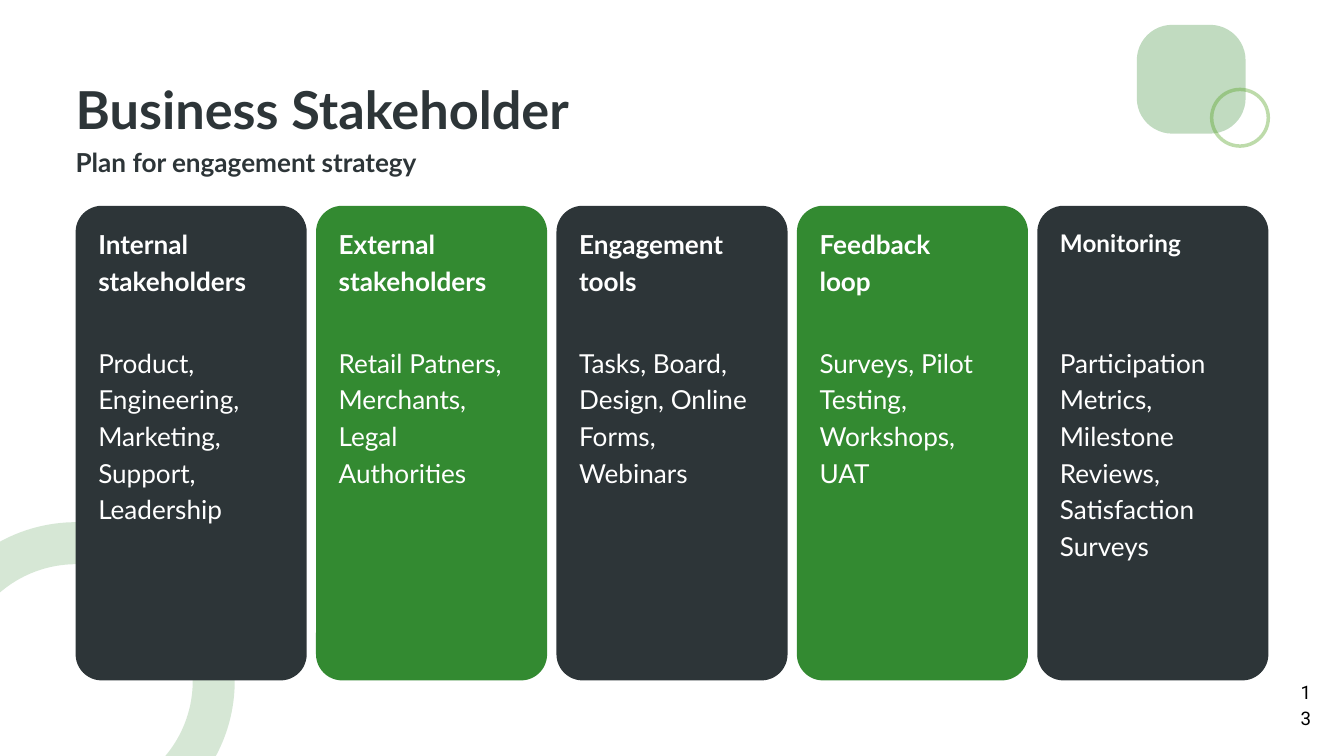
from dataclasses import dataclass

from lxml import etree
from pptx import Presentation
from pptx.dml.color import RGBColor
from pptx.enum.shapes import MSO_SHAPE
from pptx.enum.text import MSO_ANCHOR, MSO_AUTO_SIZE, PP_ALIGN
from pptx.oxml.ns import qn
from pptx.util import Pt

ROUNDED, OVAL = MSO_SHAPE.ROUNDED_RECTANGLE, MSO_SHAPE.OVAL
TOP, NO_FIT = MSO_ANCHOR.TOP, MSO_AUTO_SIZE.NONE
LEFT, CENTER = PP_ALIGN.LEFT, PP_ALIGN.CENTER


@dataclass(frozen=True)
class Theme:
    dark: str = "2D3538"
    green: str = "338A31"
    light_green: str = "5BA62C"
    white: str = "FFFFFF"
    black: str = "000000"
    font: str = "Lato"
    number_font: str = "Roboto"
    title_size: int = 56
    text_size: int = 28
    small_heading_size: int = 26
    number_size: int = 20
    line_factor: float = 1.4


THEME = Theme()

# Heading, heading size, body text; a line end starts a new paragraph
COLUMNS = [
    ("Internal stakeholders", THEME.text_size,
     "Product, Engineering, Marketing, Support, Leadership"),
    ("External stakeholders", THEME.text_size,
     "Retail Patners,\nMerchants,\nLegal Authorities"),
    ("Engagement tools", THEME.text_size,
     "Tasks, Board, Design, Online Forms, Webinars"),
    ("Feedback\nloop", THEME.text_size,
     "Surveys, Pilot Testing, Workshops, UAT"),
    ("Monitoring", THEME.small_heading_size,
     "Participation Metrics, Milestone Reviews, Satisfaction Surveys"),
]


def place(shape, box):
    shape.left, shape.top, shape.width, shape.height = (Pt(value) for value in box)


def write_text(shape, text, *, size=THEME.text_size, color=THEME.white,
               font=THEME.font, bold=False, align=LEFT):
    frame = shape.text_frame
    frame.auto_size = NO_FIT
    frame.word_wrap = True
    frame.vertical_anchor = TOP
    frame.margin_left = frame.margin_right = frame.margin_top = frame.margin_bottom = 0
    frame.text = text
    for paragraph in frame.paragraphs:
        properties = paragraph._p.get_or_add_pPr()
        properties.set("marL", "0")
        properties.set("indent", "0")
        etree.SubElement(properties, qn("a:buNone"))
        paragraph.alignment = align
        paragraph.line_spacing = Pt(round(size * THEME.line_factor, 1))
        paragraph.space_before = paragraph.space_after = Pt(0)
        for run in paragraph.runs:
            run.font.name = font
            run.font.size = Pt(size)
            run.font.bold = bold
            run.font.color.rgb = RGBColor.from_string(color)


def add_text(slide, box, text, **text_format):
    shape = slide.shapes.add_textbox(*(Pt(value) for value in box))
    write_text(shape, text, **text_format)


def paint(color_format, color, opacity):
    """Set the colour of a solid fill, with its opacity in percent."""
    color_format.rgb = RGBColor.from_string(color)
    if opacity < 100:
        solid = color_format._xFill.find(qn("a:srgbClr"))
        etree.SubElement(solid, qn("a:alpha"), val=str(opacity * 1000))


def add_panel(slide, box, color, radius, opacity=100):
    shape = slide.shapes.add_shape(ROUNDED, *(Pt(value) for value in box))
    shape.shadow.inherit = False
    shape.adjustments[0] = radius / min(box[2:])
    shape.fill.solid()
    paint(shape.fill.fore_color, color, opacity)
    shape.line.fill.background()


def add_ring(slide, box, color, weight, opacity):
    shape = slide.shapes.add_shape(OVAL, *(Pt(value) for value in box))
    shape.shadow.inherit = False
    shape.fill.background()
    shape.line.width = Pt(weight)
    shape.line.fill.solid()
    paint(shape.line.fill.fore_color, color, opacity)


def add_decoration(slide):
    add_ring(slide, (-66, 582, 295, 295), THEME.green, 45, 20)
    add_panel(slide, (1218, 26.6, 116.6, 116.6), THEME.green, 38, 30)
    add_ring(slide, (1298.2, 95.8, 60.7, 60.7), THEME.light_green, 3.75, 40)


def add_heading(slide, box):
    left, top, width, _ = box
    title, subtitle = slide.placeholders
    place(title, (left, top, width, 75.6))
    write_text(title, "Business Stakeholder", size=THEME.title_size,
               color=THEME.dark, bold=True)
    place(subtitle, (left, top + 79.2, width, 39.2))
    write_text(subtitle, "Plan for engagement strategy", color=THEME.dark, bold=True)


def add_column(slide, box, color, heading, heading_size, body):
    left, top, width, height = box
    inset = 24.3
    text_left, text_width = left + inset, width - 2 * inset
    add_panel(slide, box, color, radius=28)
    add_text(slide, (text_left, top + 18.6, text_width, 78), heading,
             size=heading_size, bold=True)
    add_text(slide, (text_left, top + 146, text_width, height - 170), body)


def add_columns(slide, box):
    left, top, width, height = box
    gap = 10
    column_width = (width - gap * (len(COLUMNS) - 1)) / len(COLUMNS)
    for index, column in enumerate(COLUMNS):
        color = THEME.green if index % 2 else THEME.dark
        column_left = left + index * (column_width + gap)
        add_column(slide, (column_left, top, column_width, height), color, *column)


def main():
    presentation = Presentation()
    presentation.slide_width, presentation.slide_height = Pt(1440), Pt(810)
    slide = presentation.slides.add_slide(presentation.slide_layouts[1])

    add_decoration(slide)
    add_heading(slide, (81, 72, 1278, 118.4))
    add_columns(slide, (81, 220.5, 1278, 508.5))

    # Page number
    add_text(slide, (1393.2, 725, 12.2, 56), "13", size=THEME.number_size,
             color=THEME.black, font=THEME.number_font, align=CENTER)

    presentation.save("out.pptx")


if __name__ == "__main__":
    main()
